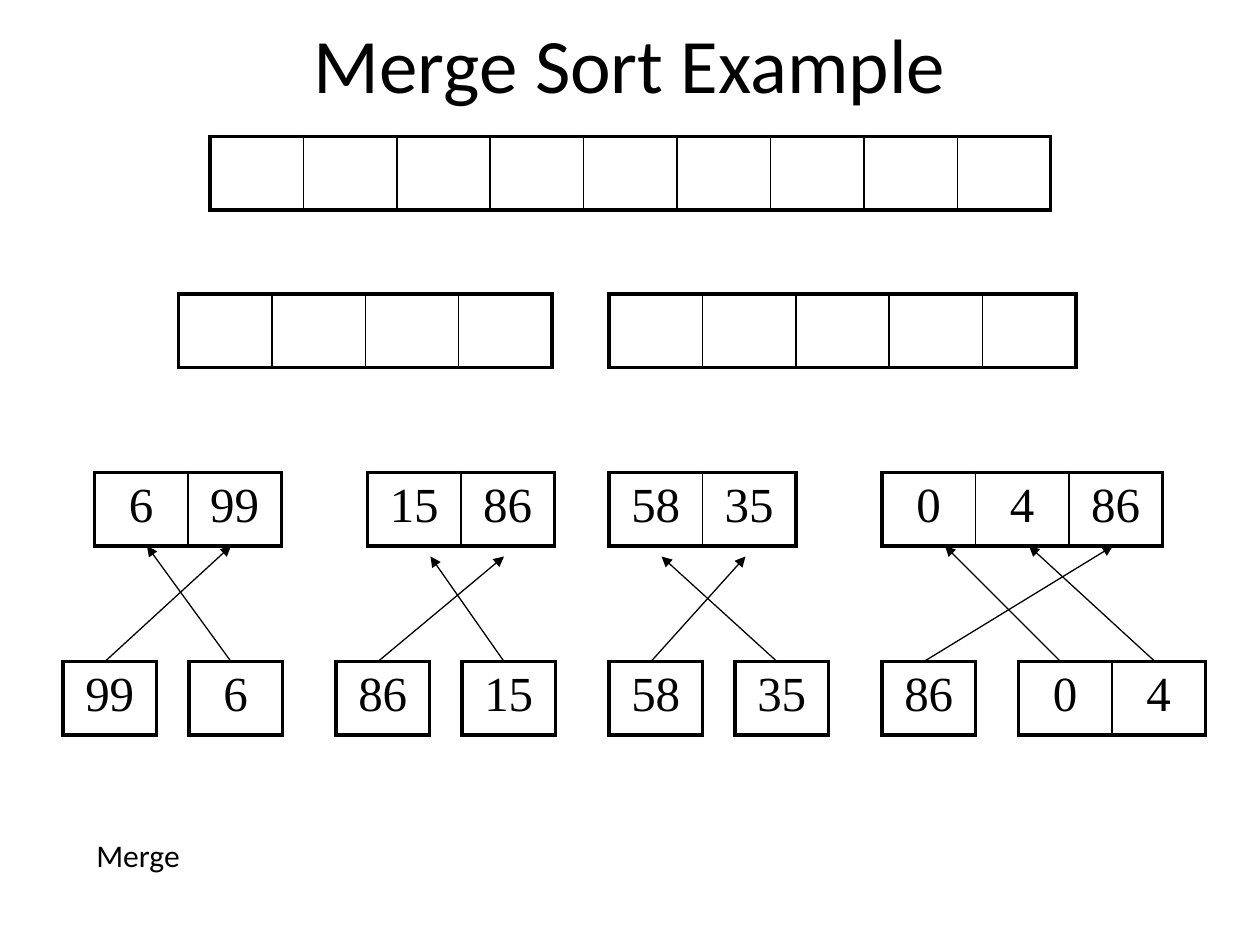
"""Build the merge sort example slide: arrays as tables, merge steps as arrows."""
from lxml.etree import SubElement
from pptx import Presentation
from pptx.dml.color import RGBColor
from pptx.enum.shapes import MSO_CONNECTOR as Connector
from pptx.enum.text import MSO_ANCHOR as Anchor, PP_ALIGN as Align
from pptx.oxml import parse_xml
from pptx.oxml.ns import nsdecls, qn
from pptx.util import Pt

PX = 7620
SLIDE_SIZE = (1200, 900)
CELL_WIDTH, CELL_HEIGHT = 89, 70
COLORS = {"ink": "000000"}
OUTER_BORDER, INNER_BORDER, ARROW_WIDTH = 2.25, 1, 0.75

TITLE = ("Merge Sort Example", (90, 0, 1020, 120), 44, Align.CENTER, Anchor.MIDDLE)
CAPTION = ("Merge", (80, 790, 610, 60), 18, Align.LEFT, Anchor.TOP)

ARRAY_ROWS = [
    (130, [(200, [""] * 9)]),
    (280, [(170, [""] * 4), (580, [""] * 5)]),
    (450, [(90, ["6", "99"]), (350, ["15", "86"]),
           (580, ["58", "35"]), (840, ["0", "4", "86"])]),
    (630, [(60, ["99"]), (180, ["6"]), (320, ["86"]), (440, ["15"]),
           (580, ["58"]), (700, ["35"]), (840, ["86"]), (970, ["0", "4"])]),
]

ARROW_START = 630
ARROW_GROUPS = [
    (520, [(100, 220), (220, 140), (880, 1060), (1010, 900), (1100, 980)]),
    (530, [(360, 480), (480, 410), (620, 710), (740, 630)]),
]


def px(*lengths):
    return [length * PX for length in lengths]


def add_run(paragraph, text, font_name, size):
    run = paragraph.add_run()
    run.text = text
    run.font.name = font_name
    run.font.size = Pt(size)
    run.font.color.rgb = RGBColor.from_string(COLORS["ink"])


def add_text(slide, text, box, size, alignment, anchor):
    frame = slide.shapes.add_textbox(*px(*box)).text_frame
    frame.word_wrap = True
    frame.vertical_anchor = anchor
    paragraph = frame.paragraphs[0]
    paragraph.alignment = alignment
    add_run(paragraph, text, "Calibri", size)


def set_borders(cell, is_first, is_last):
    widths = {
        "lnL": OUTER_BORDER if is_first else INNER_BORDER,
        "lnR": OUTER_BORDER if is_last else INNER_BORDER,
        "lnT": OUTER_BORDER,
        "lnB": OUTER_BORDER,
    }
    properties = cell._tc.get_or_add_tcPr()
    for position, (side, width) in enumerate(widths.items()):
        properties.insert(position, parse_xml(
            f'<a:{side} {nsdecls("a")} w="{Pt(width)}"><a:solidFill>'
            f'<a:srgbClr val="{COLORS["ink"]}"/></a:solidFill></a:{side}>'))


def add_array(slide, left, top, values):
    count = len(values)
    box = px(left, top, CELL_WIDTH * count, CELL_HEIGHT)
    table = slide.shapes.add_table(1, count, *box).table
    table.first_row = table.horz_banding = False
    for index, value in enumerate(values):
        cell = table.cell(0, index)
        cell.fill.background()
        set_borders(cell, index == 0, index == count - 1)
        if value:
            paragraph = cell.text_frame.paragraphs[0]
            paragraph.alignment = Align.CENTER
            add_run(paragraph, value, "Times New Roman", 28)


def add_arrow(slide, *ends):
    arrow = slide.shapes.add_connector(Connector.STRAIGHT, *px(*ends))
    arrow.line.color.rgb = RGBColor.from_string(COLORS["ink"])
    arrow.line.width = Pt(ARROW_WIDTH)
    SubElement(arrow.line._get_or_add_ln(), qn("a:tailEnd"), type="triangle")
    SubElement(arrow._element.spPr, qn("a:effectLst"))


def main():
    presentation = Presentation()
    presentation.slide_width, presentation.slide_height = px(*SLIDE_SIZE)
    slide = presentation.slides.add_slide(presentation.slide_layouts[6])
    add_text(slide, *TITLE)
    for top, arrays in ARRAY_ROWS:
        for left, values in arrays:
            add_array(slide, left, top, values)
    add_text(slide, *CAPTION)
    for end_y, arrows in ARROW_GROUPS:
        for start_x, end_x in arrows:
            add_arrow(slide, start_x, ARROW_START, end_x, end_y)
    presentation.save("out.pptx")


if __name__ == "__main__":
    main()
